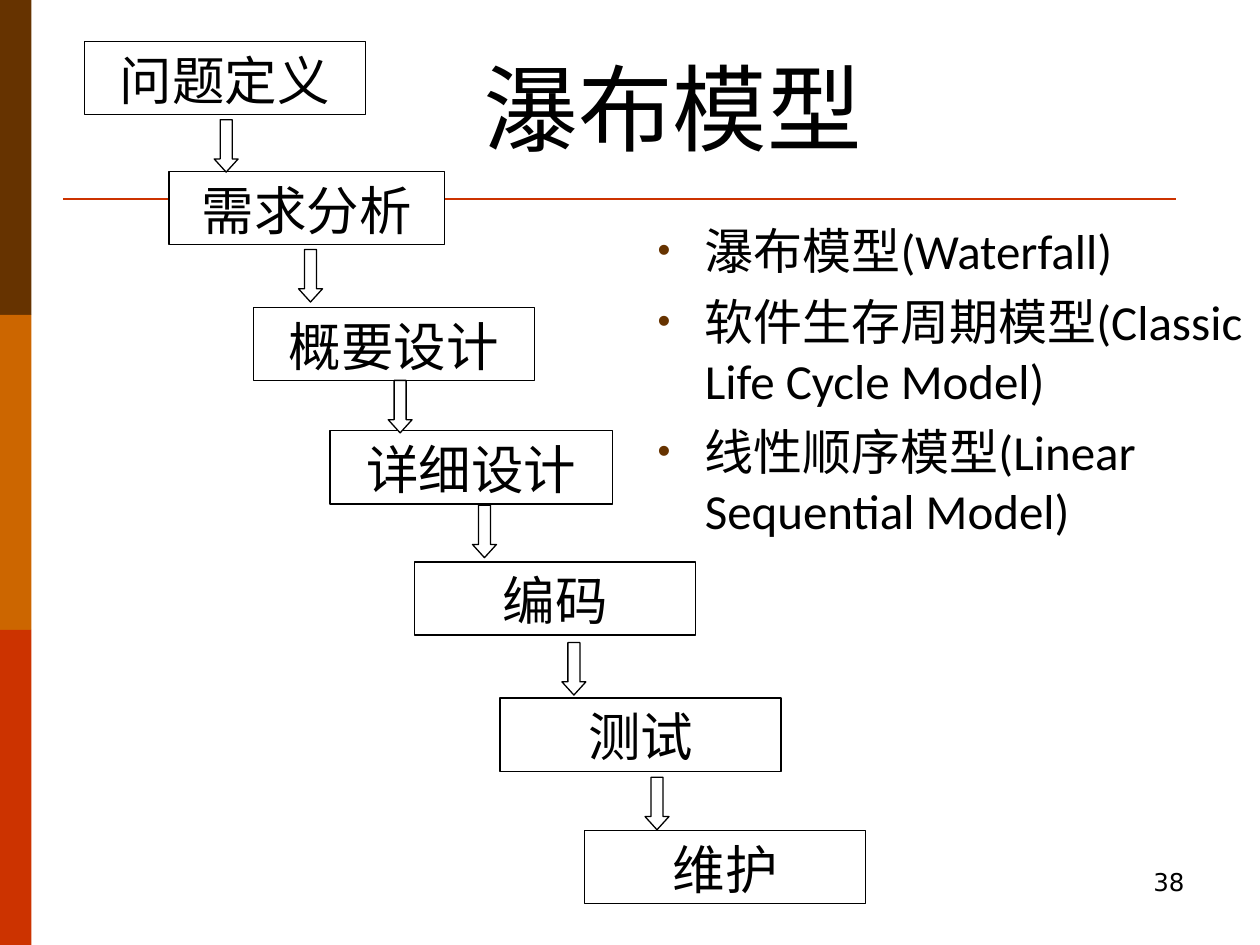
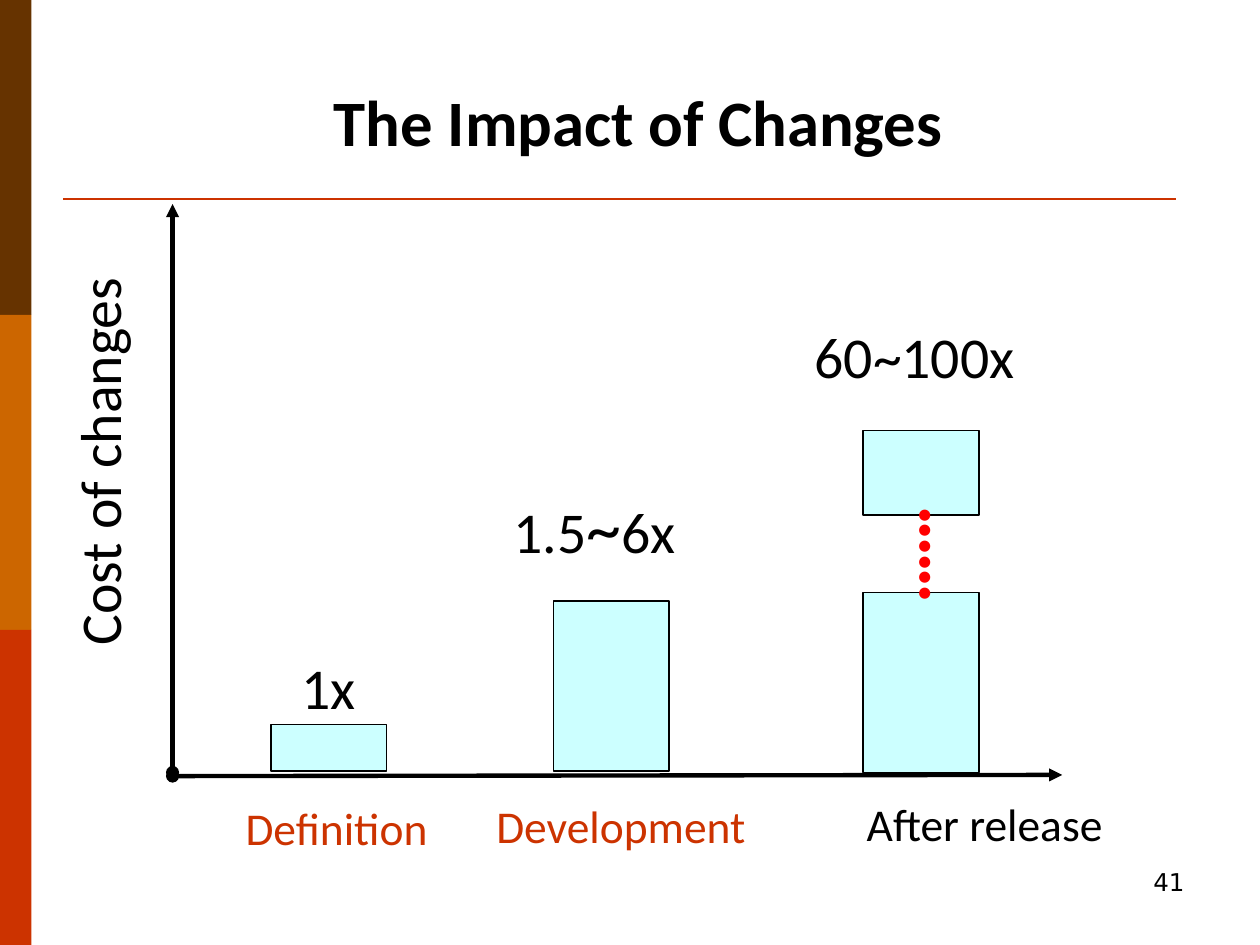
from lxml import etree
from pptx import Presentation
from pptx.dml.color import RGBColor
from pptx.enum import shapes, text
from pptx.oxml import ns
from pptx.util import Pt

BLACK = RGBColor(0, 0, 0)
WHITE = RGBColor(255, 255, 255)
BROWN = RGBColor(0x66, 0x33, 0x00)
ORANGE = RGBColor(0xCC, 0x66, 0x00)
RUST = RGBColor(0xCC, 0x33, 0x00)
RED = RGBColor(255, 0, 0)
CYAN = RGBColor(0xCC, 0xFF, 0xFF)
LATIN = "Calibri"
CJK = "Noto Sans CJK SC"
NUMBER_FONT = "DejaVu Sans"
LEFT, CENTER, RIGHT = text.PP_ALIGN.LEFT, text.PP_ALIGN.CENTER, text.PP_ALIGN.RIGHT
TOP, MIDDLE, BOTTOM = text.MSO_ANCHOR.TOP, text.MSO_ANCHOR.MIDDLE, text.MSO_ANCHOR.BOTTOM
RECTANGLE = shapes.MSO_SHAPE.RECTANGLE

STAGES = [
    ("问题定义", 48.2, 23.8, 160.6),
    ("需求分析", 96.5, 97.9, 157.7),
    ("概要设计", 144.7, 175.7, 160.6),
    ("详细设计", 188.6, 246.2, 161.3),
    ("编码", 236.9, 321.1, 160.6),
    ("测试", 285.8, 398.9, 160.6),
    ("维护", 334.1, 474.5, 160.6),
]
STAGE_ARROWS = [(122.4, 68.4), (170.6, 142.6), (221.8, 217.4),
                (270, 288.7), (321.1, 367.2), (368.6, 444.2)]
MODEL_NAMES = [
    "瀑布模型(Waterfall)",
    "软件生存周期模型(Classic Life Cycle Model)",
    "线性顺序模型(Linear Sequential Model)",
]
COST_BARS = [(154.8, 414, 26.6), (316.1, 343.4, 97.2),
             (493.2, 338.4, 103), (493.2, 246.2, 48.2)]
COST_LABELS = [
    ("1x", 154.8, 360, 66.2),
    ([[("1.5", 33), ("~", 40), ("6x", 33)]], 265.7, 267.8, 148.3),
    ("60~100x", 454.3, 170.6, 136.8),
]
PHASES = [("Definition", 133.2, 453.6, 118.8), ("Development", 276.5, 452.2, 157.7)]


def add_child(parent, tag, **attributes):
    return etree.SubElement(parent, ns.qn(tag), attributes)


def add_bullet(para):
    properties = para._p.get_or_add_pPr()
    properties.set("marL", str(Pt(27)))
    properties.set("indent", str(-Pt(27)))
    add_child(add_child(properties, "a:buClr"), "a:srgbClr", val=str(BROWN))
    add_child(properties, "a:buSzPct", val="75000")
    add_child(properties, "a:buFont", typeface="Arial")
    add_child(properties, "a:buChar", char="•")


def write(box, content, size=28, font=LATIN, color=BLACK, bold=False, align=LEFT,
          anchor=TOP, wrap=True, bullets=False, gap=0):
    frame = box.text_frame
    frame.word_wrap = wrap
    frame.auto_size = text.MSO_AUTO_SIZE.NONE
    frame.vertical_anchor = anchor
    paragraphs = [content] if isinstance(content, str) else content
    for index, spans in enumerate(paragraphs):
        para = frame.add_paragraph() if index else frame.paragraphs[0]
        if bullets:
            add_bullet(para)
        para.alignment = align
        para.space_before = Pt(gap if index else 0)
        for words, points in [(spans, size)] if isinstance(spans, str) else spans:
            span = para.add_run()
            span.text = words
            span.font.size = Pt(points)
            span.font.name = font
            span.font.bold = bold
            span.font.color.rgb = color
            add_child(span._r.get_or_add_rPr(), "a:ea", typeface=CJK)


def place(box, left, top, width, height):
    box.left, box.top, box.width, box.height = Pt(left), Pt(top), Pt(width), Pt(height)


class Deck:
    def __init__(self):
        self.deck = Presentation()
        self.deck.slide_width, self.deck.slide_height = Pt(720), Pt(540)
        self.page = None

    def start(self, layout, number):
        self.page = self.deck.slides.add_slide(self.deck.slide_layouts[layout])
        for index, color in enumerate((BROWN, ORANGE, RUST)):
            self.shape(0, 180 * index, 18, 180, color, None)
        self.line((36, 113.8), (671.8, 113.8), RUST, 1.5)
        self.label(number, 516.2, 491.8, 167.8, 36, size=14, font=NUMBER_FONT, align=RIGHT)

    def title(self, words, *bounds, **style):
        place(self.page.shapes.title, *bounds)
        write(self.page.shapes.title, words, **style)

    def bullets(self, items, *bounds):
        body = self.page.placeholders[1]
        place(body, *bounds)
        write(body, items, bullets=True, gap=7)

    def shape(self, left, top, width, height, fill, outline=BLACK, kind=RECTANGLE):
        box = self.page.shapes.add_shape(kind, Pt(left), Pt(top), Pt(width), Pt(height))
        box.shadow.inherit = False
        box.fill.solid()
        box.fill.fore_color.rgb = fill
        if outline is None:
            box.line.fill.background()
        else:
            box.line.color.rgb = outline
            box.line.width = Pt(0.75)
        return box

    def down_arrow(self, left, top):
        arrow = self.shape(left, top, 13.7, 30, WHITE, kind=shapes.MSO_SHAPE.DOWN_ARROW)
        arrow.adjustments[0], arrow.adjustments[1] = 0.5, 0.55

    def label(self, words, left, top, width, height, **style):
        box = self.page.shapes.add_textbox(Pt(left), Pt(top), Pt(width), Pt(height))
        write(box, words, **style)
        return box

    def line(self, start, end, color, width, arrow=False):
        line = self.page.shapes.add_connector(
            shapes.MSO_CONNECTOR.STRAIGHT, *map(Pt, start + end))
        line.line.color.rgb = color
        line.line.width = Pt(width)
        if arrow:
            outline = line.line._get_or_add_ln()
            add_child(outline, "a:headEnd", type="oval")
            add_child(outline, "a:tailEnd", type="triangle")
        add_child(line._element.spPr, "a:effectLst")


def build_waterfall(deck):
    deck.start(1, "38")
    deck.title("瀑布模型", 269.3, 37.4, 332.6, 59.8, size=54, font=CJK, anchor=BOTTOM)
    deck.bullets(MODEL_NAMES, 368.6, 122.4, 348.5, 277.9)
    for name, left, top, width in STAGES:
        write(deck.shape(left, top, width, 41.8, WHITE), name,
              size=30, font=CJK, align=CENTER)
    for left, top in STAGE_ARROWS:
        deck.down_arrow(left, top)


def build_cost_of_changes(deck):
    deck.start(5, "41")
    deck.title("The Impact of Changes", 87.8, 43.2, 553.7, 49, size=37, bold=True, align=CENTER)
    axis_name = deck.shape(33.1, 144, 61.2, 231.8, WHITE, WHITE)
    write(axis_name, "Cost of changes", size=33)
    axis_name.text_frame._txBody.bodyPr.set("vert", "vert270")
    write(deck.shape(488.2, 451.4, 205.9, 43.2, WHITE, WHITE), "After release", size=26)
    deck.line((98.6, 441.4), (98.6, 116.6), BLACK, 2.5, arrow=True)
    deck.line((98.6, 443.5), (607, 442.8), BLACK, 2.5, arrow=True)
    for name, left, top, width in PHASES:
        deck.label(name, left, top, width, 38.2, size=26, color=RUST, wrap=False)
    for left, top, height in COST_BARS:
        deck.shape(left, top, 66.2, height, CYAN)
    dots = deck.label("••••••", 493.9, 283.7, 64.8, 66.2, size=18, color=RED,
                      align=CENTER, anchor=MIDDLE, wrap=False)
    dots.rotation = 270
    for words, left, top, width in COST_LABELS:
        deck.label(words, left, top, width, 64.8, size=33, align=CENTER,
                   anchor=MIDDLE, wrap=False)


def main():
    deck = Deck()
    build_waterfall(deck)
    build_cost_of_changes(deck)
    deck.deck.save("out.pptx")


if __name__ == "__main__":
    main()
